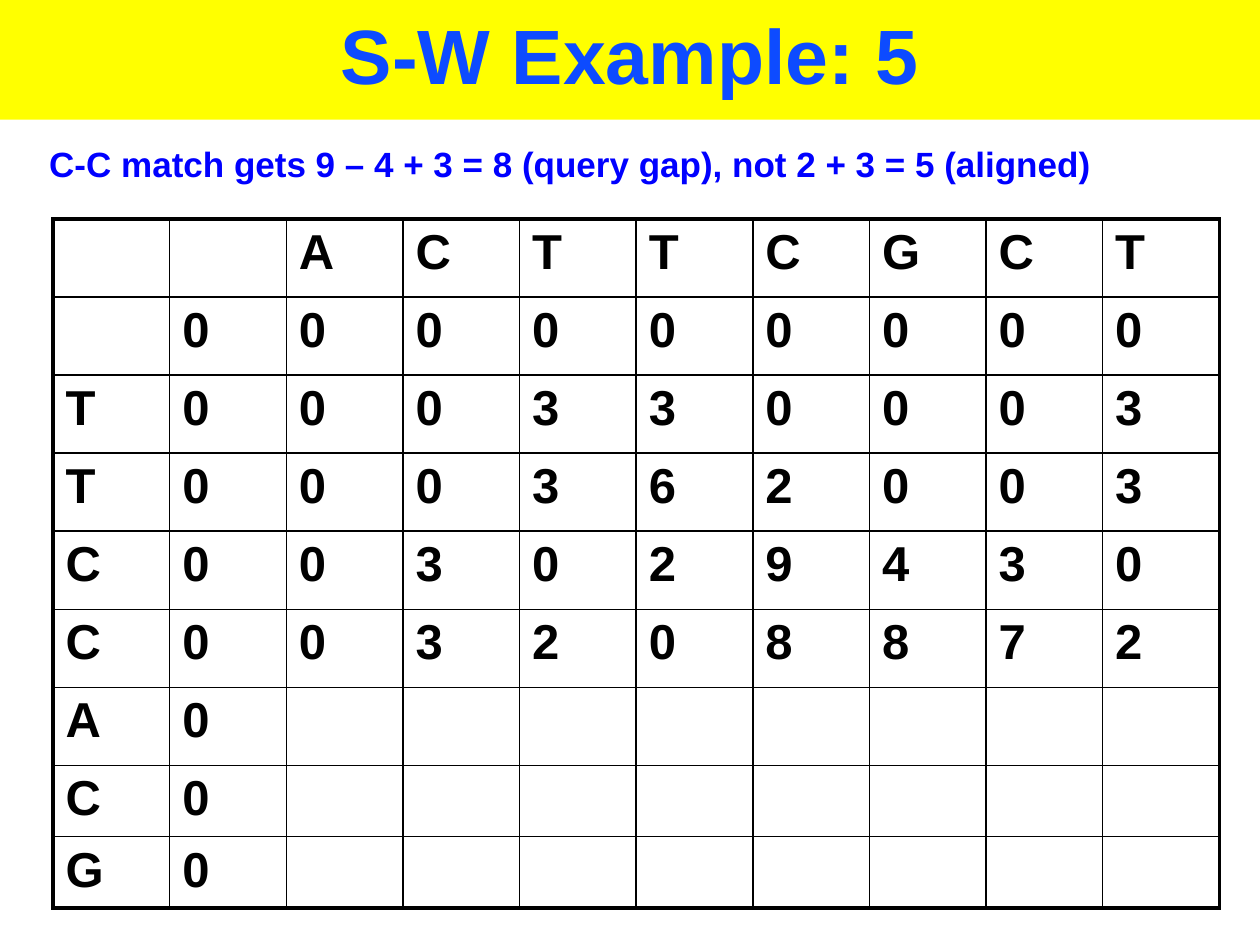
from pptx import Presentation
from pptx.dml.color import RGBColor
from pptx.enum.shapes import MSO_SHAPE
from pptx.enum.text import MSO_ANCHOR, PP_ALIGN
from pptx.oxml.ns import qn
from pptx.util import Pt
from lxml.etree import SubElement

SUBJECT = "ACTTCGCT"
SCORES = [
    ("", "000000000"),
    ("T", "000330003"),
    ("T", "000362003"),
    ("C", "003029430"),
    ("C", "003208872"),
    ("A", "0"),
    ("C", "0"),
    ("G", "0"),
]
COL_WIDTH = 66.67
ROW_HEIGHTS = [44.6] * 7 + [40.8] * 2
THIN, THICK = 1, 2.25


def rgb(color):
    return RGBColor.from_string(color)


def set_font(p, size, color):
    p.font.name = "Arial"
    p.font.size = Pt(size)
    p.font.bold = True
    p.font.color.rgb = rgb(color)


def add_title(s, text):
    sp = s.shapes.add_shape(MSO_SHAPE.RECTANGLE, 0, 0, Pt(720), Pt(68.4))
    sp.shadow.inherit = False
    sp.fill.solid()
    sp.fill.fore_color.rgb = rgb("FFFF00")
    sp.line.fill.background()
    tf = sp.text_frame
    tf.vertical_anchor = MSO_ANCHOR.MIDDLE
    p = tf.paragraphs[0]
    p.text = text
    p.alignment = PP_ALIGN.CENTER
    p.line_spacing = 0.9
    set_font(p, 44, "0D4BFF")


def add_note(s, text):
    tf = s.shapes.add_textbox(Pt(21), Pt(77.8), Pt(699), Pt(31.7)).text_frame
    tf.word_wrap = True
    p = tf.paragraphs[0]
    p.text = text
    p.space_before = Pt(2)
    set_font(p, 20, "0000FF")


def set_borders(cell, left, right, top, bottom):
    """Draw black cell borders; must run before the cell's fill is set."""
    tc_pr = cell._tc.get_or_add_tcPr()
    for tag, width in (("a:lnL", left), ("a:lnR", right), ("a:lnT", top), ("a:lnB", bottom)):
        ln = SubElement(tc_pr, qn(tag), w=str(Pt(width)))
        fill = SubElement(ln, qn("a:solidFill"))
        SubElement(fill, qn("a:srgbClr"), val="000000")


def add_score_table(s, rows):
    n_rows, n_cols = len(rows), len(rows[0])
    table = s.shapes.add_table(n_rows, n_cols, Pt(30.3), Pt(125.2),
                               Pt(COL_WIDTH * n_cols), Pt(sum(ROW_HEIGHTS))).table
    table.first_row = table.horz_banding = False
    for col in table.columns:
        col.width = Pt(COL_WIDTH)
    for i, (row, height) in enumerate(zip(rows, ROW_HEIGHTS)):
        table.rows[i].height = Pt(height)
        for j, text in enumerate(row):
            cell = table.cell(i, j)
            set_borders(cell,
                        left=THICK if j == 0 else THIN,
                        right=THICK if j == n_cols - 1 else THIN,
                        top=THICK if i == 0 else THIN,
                        bottom=THICK if i == n_rows - 1 else THIN)
            cell.fill.background()
            p = cell.text_frame.paragraphs[0]
            p.text = text
            set_font(p, 28, "000000")


def main():
    prs = Presentation()
    prs.slide_width, prs.slide_height = Pt(720), Pt(540)
    s = prs.slides.add_slide(prs.slide_layouts[6])
    add_title(s, "S-W Example: 5")
    header = ["", "", *SUBJECT]
    body = [[base, *scores.ljust(len(SUBJECT) + 1)] for base, scores in SCORES]
    add_score_table(s, [header] + [[text.strip() for text in row] for row in body])
    add_note(s, "C-C match gets 9 – 4 + 3 = 8 (query gap), not 2 + 3 = 5 (aligned)")
    prs.save("out.pptx")


if __name__ == "__main__":
    main()
